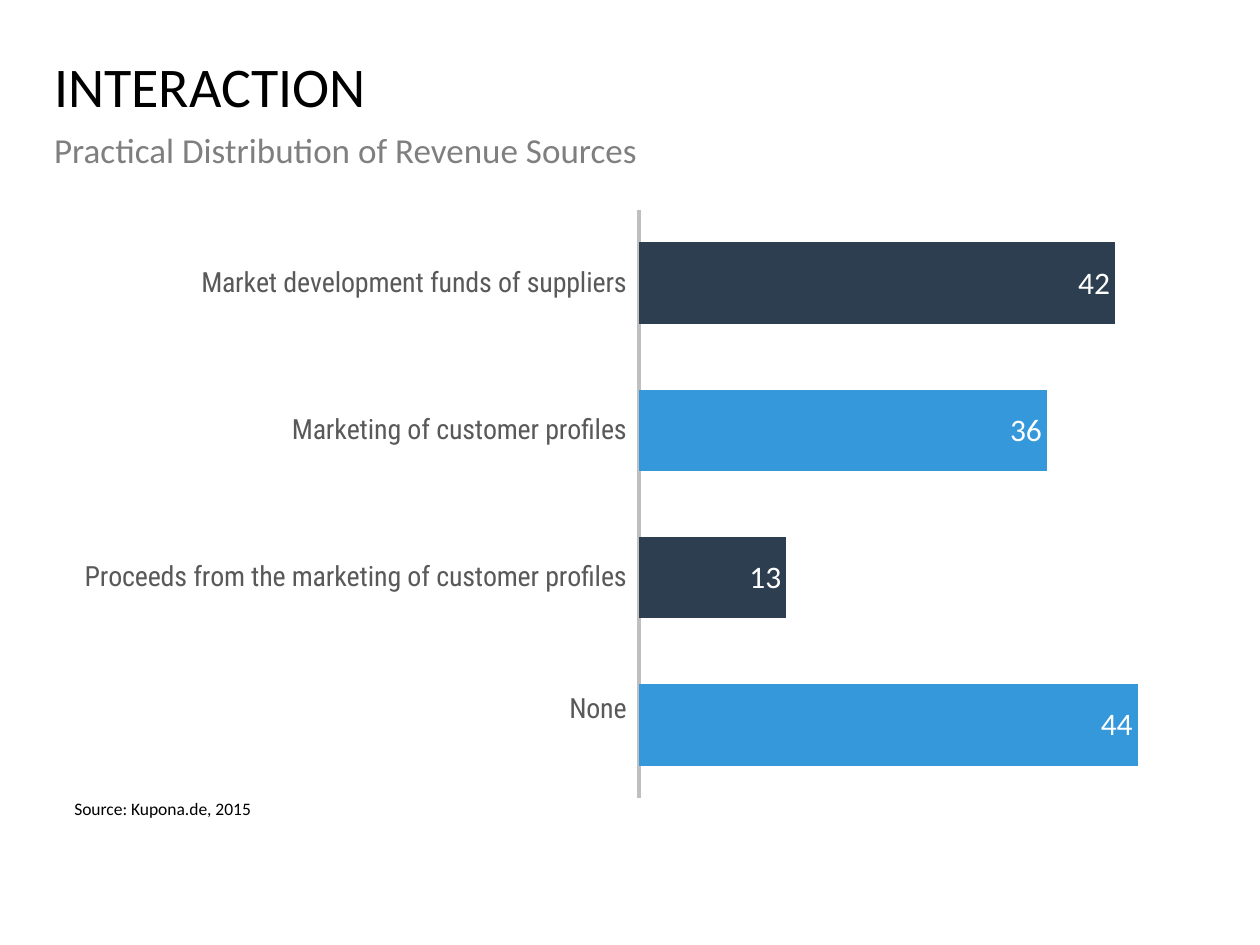
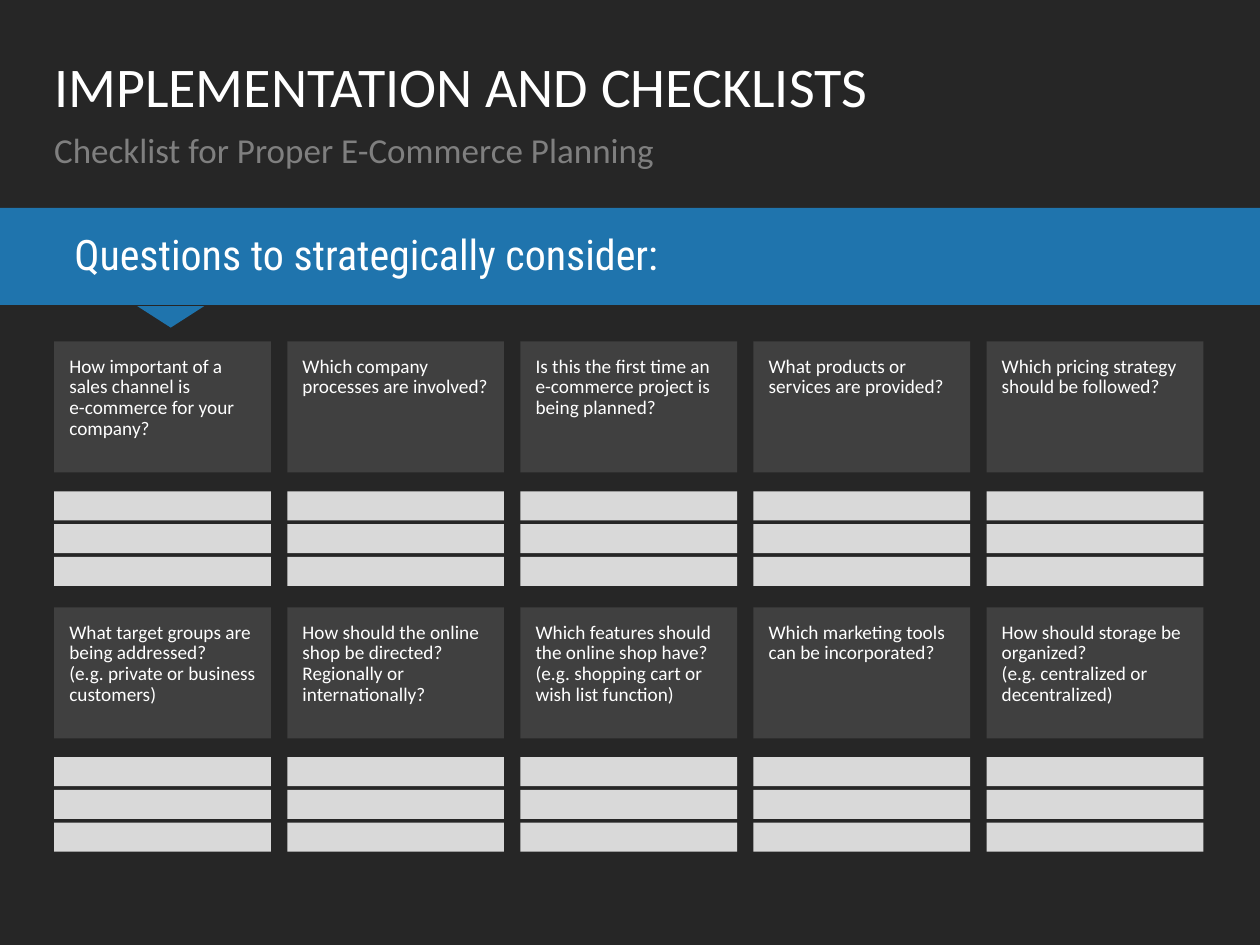
from lxml import etree
from pptx import Presentation
from pptx.chart.data import CategoryChartData
from pptx.dml.color import RGBColor
from pptx.enum.chart import XL_CHART_TYPE, XL_LABEL_POSITION, XL_TICK_LABEL_POSITION, XL_TICK_MARK
from pptx.enum.shapes import MSO_SHAPE
from pptx.enum.text import MSO_ANCHOR, PP_ALIGN
from pptx.oxml.ns import qn
from pptx.util import Inches, Pt

BAR_STACKED = XL_CHART_TYPE.BAR_STACKED
INSIDE_END = XL_LABEL_POSITION.INSIDE_END
LABELS_LOW = XL_TICK_LABEL_POSITION.LOW
NO_TICK = XL_TICK_MARK.NONE
RECTANGLE, TRIANGLE = MSO_SHAPE.RECTANGLE, MSO_SHAPE.ISOSCELES_TRIANGLE
TOP, MIDDLE, LEFT = MSO_ANCHOR.TOP, MSO_ANCHOR.MIDDLE, PP_ALIGN.LEFT

# Shared look
BODY_FONT, ACCENT_FONT = "Calibri", "Roboto Condensed"
WHITE, BLACK, DARK = "FFFFFF", "000000", "262626"
GREY, CARD, ANSWER = "7F7F7F", "404040", "D9D9D9"
BAND, SKY, NAVY = "1F74AD", "3498DB", "2C3E50"
AXIS_TEXT, AXIS_LINE, SERIES_GREY = "595959", "BFBFBF", "A6A6A6"
MARGIN, CONTENT_WIDTH = 0.43, 9.13

# Slide 1: revenue sources, from the bottom bar up
REVENUE_SOURCES = {
    "None\n": 44,
    "Proceeds from the marketing of customer profiles": 13,
    "Marketing of customer profiles": 36,
    "Market development funds of suppliers": 42,
}
PLOT_LAYOUT = {"layoutTarget": "inner", "xMode": "edge", "yMode": "edge",
               "x": 0.499, "y": 0, "w": 0.501, "h": 1}

# Slide 2: checklist grid
QUESTION_ROWS = [
    ["How important of a sales channel is\ne-commerce for your company?",
     "Which company processes are involved?",
     "Is this the first time an e-commerce project is being planned?",
     "What products or services are provided?",
     "Which pricing strategy should be followed?"],
    ["What target groups are being addressed?\n(e.g. private or business customers)",
     "How should the online shop be directed? Regionally or internationally?",
     "Which features should the online shop have?\n(e.g. shopping cart or wish list function)",
     "Which marketing tools can be incorporated?",
     "How should storage be organized?\n(e.g. centralized or decentralized)"],
]
GRID_TOP, ROW_PITCH, COLUMN_PITCH = 2.71, 2.11, 1.85
CARD_WIDTH, CARD_HEIGHT = 1.72, 1.04
ANSWER_OFFSET, ANSWER_PITCH, ANSWER_HEIGHT, ANSWER_COUNT = 1.19, 0.26, 0.23, 3


def rgb(hex_code):
    return RGBColor.from_string(hex_code)


def style_font(font, color, size=None, name=BODY_FONT):
    values = {"name": name, "size": Pt(size) if size else None, "bold": False}
    for key, value in values.items():
        setattr(font, key, value)
    font.color.rgb = rgb(color)


def write(box, text, color, size, font=BODY_FONT, insets=(0, 0), anchor=TOP, space_after=0):
    """Fill a shape with text, one paragraph per line; insets are (sides, ends)."""
    frame = box.text_frame
    sides, ends = (Inches(inset) for inset in insets)
    frame_format = {"word_wrap": True, "vertical_anchor": anchor,
                    "margin_left": sides, "margin_right": sides,
                    "margin_top": ends, "margin_bottom": ends}
    for key, value in frame_format.items():
        setattr(frame, key, value)
    frame.text = text
    para_format = {"alignment": LEFT, "line_spacing": 0.9, "space_after": Pt(space_after)}
    for para in frame.paragraphs:
        for key, value in para_format.items():
            setattr(para, key, value)
        for span in para.runs:
            style_font(span.font, color, size, font)


def add_text(page, place, text, color, size, **options):
    box = page.shapes.add_textbox(*map(Inches, place))
    write(box, text, color, size, **options)


def add_block(page, kind, place, fill):
    block = page.shapes.add_shape(kind, *map(Inches, place))
    block.shadow.inherit = False
    block.fill.solid()
    block.fill.fore_color.rgb = rgb(fill)
    block.line.fill.background()
    return block


def add_page(deck, background, title, title_color, subtitle):
    page = deck.slides.add_slide(deck.slide_layouts[6])
    page.background.fill.solid()
    page.background.fill.fore_color.rgb = rgb(background)
    add_text(page, (MARGIN, 0.47, CONTENT_WIDTH, 1.18), title, title_color, 32)
    add_text(page, (MARGIN, 1.06, CONTENT_WIDTH, 0.59), subtitle, GREY, 20, space_after=10)
    return page


def set_plot_layout(chart):
    plot_area = chart.element.find(".//" + qn("c:plotArea"))
    for old_layout in plot_area.findall(qn("c:layout")):
        plot_area.remove(old_layout)
    layout = etree.Element(qn("c:layout"))
    manual = etree.SubElement(layout, qn("c:manualLayout"))
    for tag, value in PLOT_LAYOUT.items():
        etree.SubElement(manual, qn("c:" + tag)).set("val", str(value))
    plot_area.insert(0, layout)


def add_revenue_chart(page, place):
    data = CategoryChartData()
    data.categories = list(REVENUE_SOURCES)
    data.add_series("Series 1", list(REVENUE_SOURCES.values()))
    chart = page.shapes.add_chart(BAR_STACKED, *map(Inches, place), data).chart
    chart.has_legend = chart.has_title = False
    style_font(chart.font, BLACK, 18)
    set_plot_layout(chart)

    # Axes
    sources, values = chart.category_axis, chart.value_axis
    sources.major_tick_mark = sources.minor_tick_mark = NO_TICK
    sources.tick_label_position = LABELS_LOW
    style_font(sources.tick_labels.font, AXIS_TEXT, 16, ACCENT_FONT)
    sources.format.line.color.rgb = rgb(AXIS_LINE)
    sources.format.line.width = Pt(2)
    values.has_major_gridlines = values.visible = False
    values.minimum_scale, values.maximum_scale = 0, 50

    # Bars in alternating colours, values at their ends
    plot = chart.plots[0]
    plot.gap_width, plot.overlap, plot.vary_by_categories = 80, 100, False
    series = plot.series[0]
    series.invert_if_negative = False
    series.format.fill.solid()
    series.format.fill.fore_color.rgb = rgb(SERIES_GREY)
    for index in range(len(REVENUE_SOURCES)):
        fill = series.points[index].format.fill
        fill.solid()
        fill.fore_color.rgb = rgb((SKY, NAVY)[index % 2])
    labels = series.data_labels
    labels.show_value = True
    labels.position = INSIDE_END
    style_font(labels.font, WHITE, 18)


def add_question(page, left, top, question):
    card = add_block(page, RECTANGLE, (left, top, CARD_WIDTH, CARD_HEIGHT), CARD)
    write(card, question, WHITE, 11, insets=(0.12, 0.12))
    for line in range(ANSWER_COUNT):
        answer_top = top + ANSWER_OFFSET + line * ANSWER_PITCH
        add_block(page, RECTANGLE, (left, answer_top, CARD_WIDTH, ANSWER_HEIGHT), ANSWER)


def add_band(page, text):
    band = add_block(page, RECTANGLE, (0, 1.65, 10, 0.77), BAND)
    write(band, text, WHITE, 24, font=ACCENT_FONT, insets=(0.59, 0.05), anchor=MIDDLE)
    pointer = add_block(page, TRIANGLE, (1.09, 2.43, 0.53, 0.17), BAND)
    pointer.rotation = 180


def build_interaction(deck):
    page = add_page(deck, WHITE, "INTERACTION", BLACK,
                    "Practical Distribution of Revenue Sources")
    add_text(page, (0.59, 6.35, 3.04, 0.23), "Source: Kupona.de, 2015", BLACK, 10,
             space_after=10)
    add_revenue_chart(page, (0.59, 1.65, 8.98, 4.7))


def build_checklist(deck):
    page = add_page(deck, DARK, "IMPLEMENTATION AND CHECKLISTS", WHITE,
                    "Checklist for Proper E-Commerce Planning")
    add_band(page, "Questions to strategically consider:")
    for row, questions in enumerate(QUESTION_ROWS):
        for column, question in enumerate(questions):
            add_question(page, MARGIN + column * COLUMN_PITCH,
                         GRID_TOP + row * ROW_PITCH, question)


def main():
    deck = Presentation()
    deck.slide_width, deck.slide_height = Inches(10), Inches(7.5)
    build_interaction(deck)
    build_checklist(deck)
    deck.save("out.pptx")


if __name__ == "__main__":
    main()
